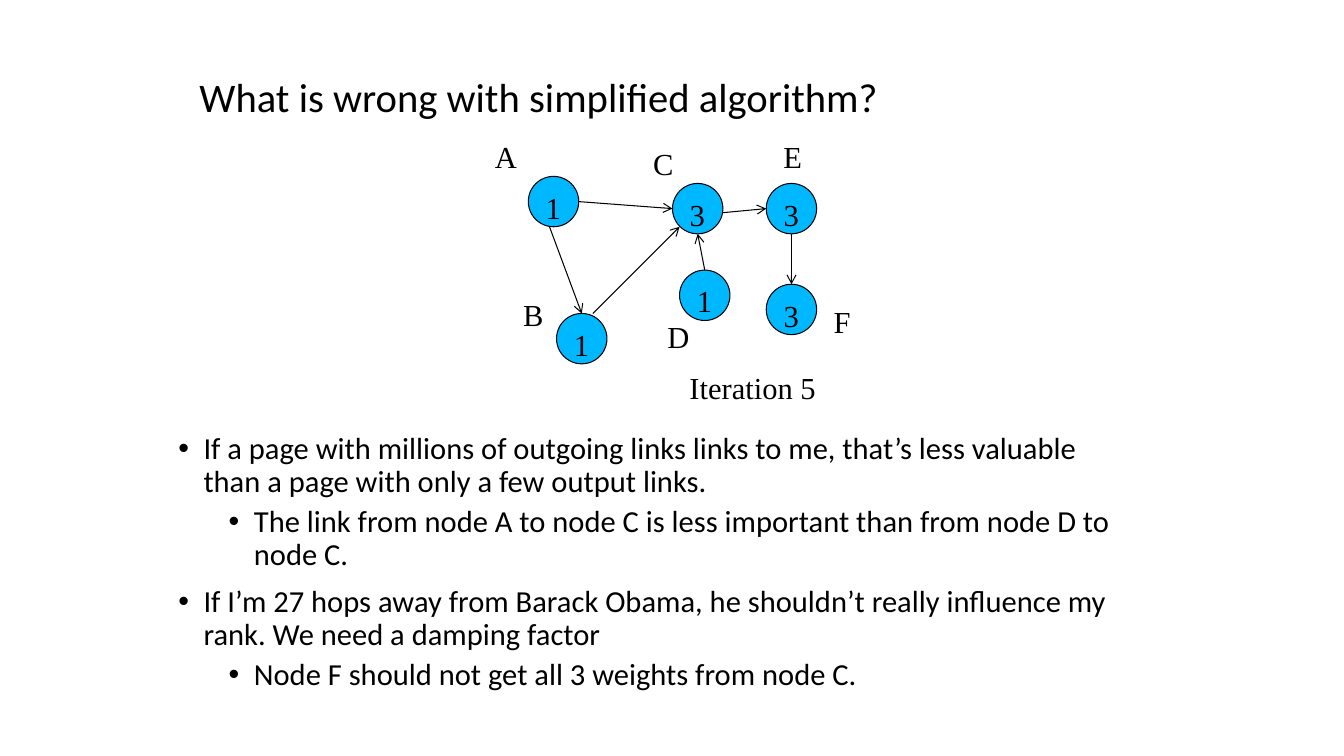
from pptx import Presentation
from pptx.dml.color import RGBColor
from pptx.enum.shapes import MSO_CONNECTOR as Connector, MSO_SHAPE as Shape
from pptx.enum.text import MSO_ANCHOR as Anchor, MSO_AUTO_SIZE as AutoSize, PP_ALIGN as Align
from pptx.oxml.ns import qn
from pptx.util import Inches, Pt
from lxml.etree import SubElement

BLACK = RGBColor(0x00, 0x00, 0x00)
NODE_BLUE = RGBColor(0x00, 0xB8, 0xFF)
NODE_SIZE = 0.5
LABEL_HEIGHT = 0.47


class GraphSlide:
    sans, serif = "Calibri", "Times New Roman"
    title_size, text_size = 29, 21.8

    def __init__(self, slide):
        self.shapes = slide.shapes

    def add_run(self, paragraph, text, font, size):
        run = paragraph.add_run()
        run.text = text
        run.font.name = font
        run.font.size = Pt(size)
        run.font.color.rgb = BLACK

    def frame(self, left, top, width, height, wrap=True):
        frame = self.shapes.add_textbox(*map(Inches, (left, top, width, height))).text_frame
        frame.word_wrap = wrap
        return frame

    def title(self, text, *place):
        frame = self.frame(*place)
        frame.vertical_anchor = Anchor.MIDDLE
        heading = frame.paragraphs[0]
        heading.line_spacing = 0.9
        self.add_run(heading, text, self.sans, self.title_size)

    def bullets(self, points, *place):
        frame = self.frame(*place)
        for index, (level, text) in enumerate(points):
            point = frame.add_paragraph() if index else frame.paragraphs[0]
            point.level = level
            properties = point._p.get_or_add_pPr()
            properties.set("marL", str(Inches(0.25 + 0.5 * level)))
            properties.set("indent", str(Inches(-0.25)))
            SubElement(properties, qn("a:buFont"), typeface="Arial")
            SubElement(properties, qn("a:buChar"), char="•")
            point.line_spacing = 0.9
            point.space_before = Pt((5 if level else 10) if index else 0)
            self.add_run(point, text, self.sans, self.text_size)

    def label(self, text, left, top, width):
        frame = self.frame(left, top, width, LABEL_HEIGHT, wrap=False)
        frame.auto_size = AutoSize.SHAPE_TO_FIT_TEXT
        self.add_run(frame.paragraphs[0], text, self.serif, self.text_size)

    def node(self, rank, left, top):
        node = self.shapes.add_shape(
            Shape.OVAL, *map(Inches, (left, top, NODE_SIZE, NODE_SIZE)))
        node.shadow.inherit = False
        node.fill.solid()
        node.fill.fore_color.rgb = NODE_BLUE
        node.line.color.rgb = BLACK
        node.line.width = Pt(0.75)
        node.text_frame.vertical_anchor = Anchor.TOP
        value = node.text_frame.paragraphs[0]
        value.alignment = Align.LEFT
        self.add_run(value, rank, self.serif, self.text_size)

    def arrow(self, start, end):
        link = self.shapes.add_connector(Connector.STRAIGHT, *map(Inches, start + end))
        link.line.color.rgb = BLACK
        link.line.width = Pt(0.75)
        SubElement(link.line._get_or_add_ln(), qn("a:tailEnd"), type="arrow")
        SubElement(link._element.spPr, qn("a:effectLst"))


def main():
    deck = Presentation()
    deck.slide_width, deck.slide_height = Inches(13.33), Inches(7.5)
    page = GraphSlide(deck.slides.add_slide(deck.slide_layouts[6]))

    page.title("What is wrong with simplified algorithm?", 1.88, 0.61, 9.48, 0.76)
    page.bullets([
        (0, "If a page with millions of outgoing links links to me, that’s less valuable "
            "than a page with only a few output links."),
        (1, "The link from node A to node C is less important than from node D to node C."),
        (0, "If I’m 27 hops away from Barack Obama, he shouldn’t really influence my rank. "
            "We need a damping factor"),
        (1, "Node F should not get all 3 weights from node C."),
    ], 1.67, 4.25, 9.45, 3.11)

    graph = [
        ("A", "1", (5.24, 1.75), (4.81, 1.32, 0.42)),
        ("B", "1", (5.52, 3.11), (5.09, 2.89, 0.41)),
        ("C", "3", (6.67, 1.82), (6.38, 1.39, 0.41)),
        ("D", "1", (6.74, 2.68), (6.52, 3.11, 0.42)),
        ("E", "3", (7.6, 1.82), (7.67, 1.32, 0.39)),
        ("F", "3", (7.6, 2.82), (8.17, 2.96, 0.37)),
    ]
    for letter, rank, node_place, label_place in graph:
        page.node(rank, *node_place)
        page.label(letter, *label_place)

    links = [
        ((5.74, 2), (6.67, 2.07)),
        ((5.45, 2.25), (5.77, 3.11)),
        ((5.88, 3.11), (6.74, 2.25)),
        ((6.99, 2.68), (6.92, 2.32)),
        ((7.17, 2.11), (7.6, 2.07)),
        ((7.85, 2.32), (7.85, 2.82)),
    ]
    for start, end in links:
        page.arrow(start, end)

    page.label("Iteration 5", 6.74, 3.61, 1.54)
    deck.save("out.pptx")


if __name__ == "__main__":
    main()
